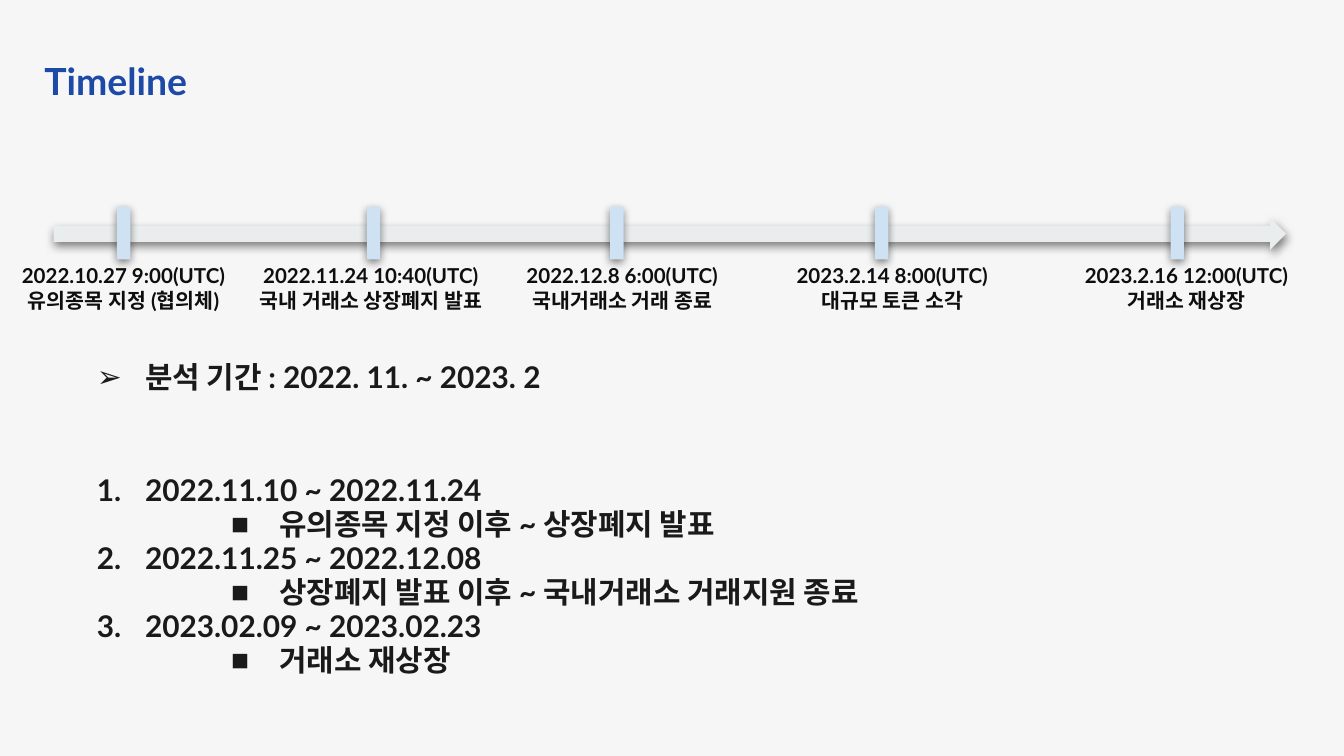
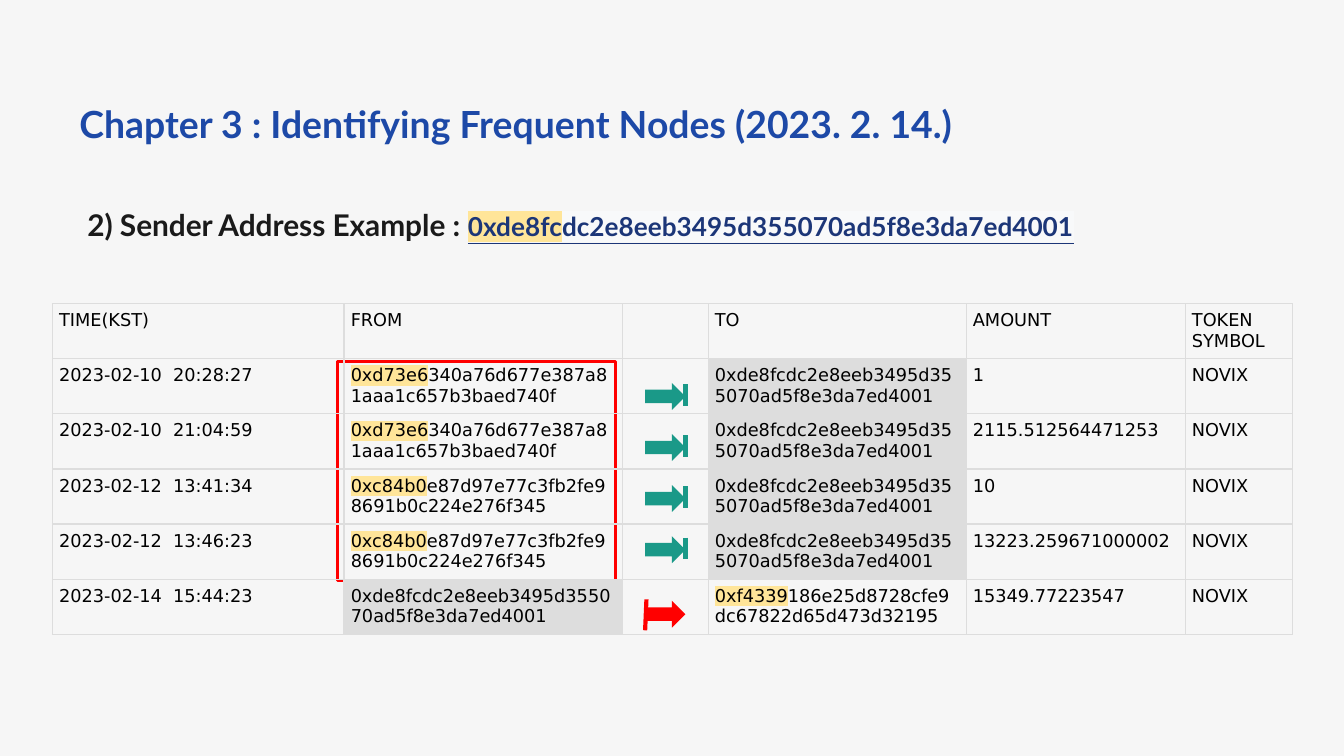
from dataclasses import dataclass

from lxml.etree import SubElement
from pptx import Presentation
from pptx.dml.color import RGBColor
from pptx.enum.shapes import MSO_CONNECTOR as Connector, MSO_SHAPE as Shape
from pptx.enum.text import MSO_ANCHOR as Anchor, MSO_AUTO_SIZE as AutoSize, PP_ALIGN as Align
from pptx.oxml.ns import qn
from pptx.util import Inches, Pt


@dataclass(frozen=True)
class Theme:
    background: str = "F6F6F6"
    title: str = "1D49A7"
    body: str = "1A1A1A"
    label: str = "0E0E0E"
    link: str = "1C3678"
    link_back: str = "F8F9FA"
    highlight: str = "FFE599"
    axis: str = "E9EDEE"
    marker: str = "CFE2F3"
    grid: str = "DDDDDD"
    cell: str = "000000"
    incoming: str = "1A9988"
    outgoing: str = "FF0000"
    font: str = "Lato"
    table_font: str = "DejaVu Sans"
    title_size: float = 20
    body_size: float = 16
    link_size: float = 14
    label_size: float = 11
    cell_size: float = 9.5


THEME = Theme()
MARGIN = 0.1

# label left, label width, marker left, date, event
MILESTONES = [
    (0.03, 1.78, 0.87, "2022.10.27 9:00(UTC)", "유의종목 지정 (협의체)"),
    (1.82, 1.88, 2.73, "2022.11.24 10:40(UTC)", "국내 거래소 상장폐지 발표"),
    (3.74, 1.78, 4.54, "2022.12.8 6:00(UTC)", "국내거래소 거래 종료"),
    (5.79, 1.70, 6.51, "2023.2.14 8:00(UTC)", "대규모 토큰 소각"),
    (7.86, 1.94, 8.71, "2023.2.16 12:00(UTC)", "거래소 재상장"),
]
PERIODS = [
    ("2022.11.10 ~ 2022.11.24", "유의종목 지정 이후 ~ 상장폐지 발표"),
    ("2022.11.25 ~ 2022.12.08", "상장폐지 발표 이후 ~ 국내거래소 거래지원 종료"),
    ("2023.02.09 ~ 2023.02.23", "거래소 재상장"),
]

WATCHED = "0xde8fcdc2e8eeb3495d355070ad5f8e3da7ed4001"
FIRST_SENDER = "0xd73e6340a76d677e387a81aaa1c657b3baed740f"
SECOND_SENDER = "0xc84b0e87d97e77c3fb2fe98691b0c224e276f345"
RECEIVER = "0xf4339186e25d8728cfe9dc67822d65d473d32195"
PREFIX = 7
TOKEN = "NOVIX"
HEADINGS = ["TIME(KST)", "FROM", "", "TO", "AMOUNT", "TOKEN SYMBOL"]
TRANSFERS = [
    ("2023-02-10  20:28:27", FIRST_SENDER, WATCHED, "1"),
    ("2023-02-10  21:04:59", FIRST_SENDER, WATCHED, "2115.512564471253"),
    ("2023-02-12  13:41:34", SECOND_SENDER, WATCHED, "10"),
    ("2023-02-12  13:46:23", SECOND_SENDER, WATCHED, "13223.259671000002"),
    ("2023-02-14  15:44:23", WATCHED, RECEIVER, "15349.77223547"),
]
COLUMN_WIDTHS = [2.17, 2.07, 0.64, 1.92, 1.63, 0.8]
ROW_HEIGHT = 0.41


def color(value):
    return RGBColor.from_string(value)


def add_color(parent, tag, value):
    element = SubElement(parent, qn(tag))
    return SubElement(element, qn("a:srgbClr"), val=value)


def style_font(font, size, value, name=THEME.font, bold=True):
    font.name, font.size, font.bold = name, Pt(size), bold
    font.color.rgb = color(value)


def add_highlight(run, value):
    properties = run._r.get_or_add_rPr()
    add_color(properties, "a:highlight", value)
    properties.insert(0, properties[-1])


def add_bullet(paragraph, left, hanging, tag, **attributes):
    properties = paragraph._p.get_or_add_pPr()
    properties.set("marL", str(Inches(left)))
    properties.set("indent", str(-Inches(hanging)))
    add_color(properties, "a:buClr", THEME.body)
    SubElement(properties, qn(tag), **attributes)


def add_borders(cell):
    properties = cell._tc.get_or_add_tcPr()
    for side in "LRTB":
        line = SubElement(properties, qn(f"a:ln{side}"), w=str(Pt(0.75)))
        add_color(line, "a:solidFill", THEME.grid)


class Deck:
    """Holds the presentation, its theme and the slide being built."""

    def __init__(self, theme):
        self.theme = theme
        self.presentation = Presentation()
        self.presentation.slide_width = Inches(10)
        self.presentation.slide_height = Inches(10) * 9 // 16
        self.slide = None

    def add_slide(self):
        layout = self.presentation.slide_layouts[1]
        self.slide = self.presentation.slides.add_slide(layout)
        fill = self.slide.background.fill
        fill.solid()
        fill.fore_color.rgb = color(self.theme.background)

    def place(self, shape, left, top, width, height, anchor=Anchor.TOP):
        """Position a text shape and give it the common frame settings."""
        shape.left, shape.top = Inches(left), Inches(top)
        shape.width, shape.height = Inches(width), Inches(height)
        frame = shape.text_frame
        frame.word_wrap, frame.auto_size = True, AutoSize.NONE
        frame.vertical_anchor = anchor
        frame.margin_left = frame.margin_right = Inches(MARGIN)
        frame.margin_top = frame.margin_bottom = Inches(MARGIN)
        return frame

    def title(self, text, left, top, width):
        frame = self.place(self.slide.shapes.title, left, top, width, 1.04, Anchor.MIDDLE)
        frame.text = text
        paragraph = frame.paragraphs[0]
        paragraph.alignment = Align.LEFT
        style_font(paragraph.font, self.theme.title_size, self.theme.title)

    def body(self, left, top, width, height):
        return self.place(self.slide.placeholders[1], left, top, width, height)

    def list_item(self, paragraph, text, bullet, level=0, space_before=0):
        paragraph.text, paragraph.level = text, level
        paragraph.line_spacing, paragraph.space_before = 0.95, Pt(space_before)
        left = 0.5 + level / 2
        if bullet == "1.":
            add_bullet(paragraph, left, 0.36, "a:buAutoNum", type="arabicPeriod")
        else:
            add_bullet(paragraph, left, 0.36, "a:buChar", char=bullet)
        style_font(paragraph.font, self.theme.body_size, self.theme.body)

    def label(self, lines, left, top, width, height):
        box = self.slide.shapes.add_textbox(0, 0, 0, 0)
        frame = self.place(box, left, top, width, height)
        frame.text = "\n".join(lines)
        for paragraph in frame.paragraphs:
            paragraph.alignment = Align.CENTER
            style_font(paragraph.font, self.theme.label_size, self.theme.label)

    def shape(self, kind, left, top, width, height, fill=None, line=None, shadow=False):
        shape = self.slide.shapes.add_shape(
            kind, Inches(left), Inches(top), Inches(width), Inches(height))
        shape.shadow.inherit = False
        if fill:
            shape.fill.solid()
            shape.fill.fore_color.rgb = color(fill)
        else:
            shape.fill.background()
        if line:
            shape.line.color.rgb = color(line)
            shape.line.width = Pt(1.5)
        else:
            shape.line.fill.background()
        if shadow:
            effects = shape._element.spPr.find(qn("a:effectLst"))
            outer = SubElement(effects, qn("a:outerShdw"), blurRad=str(Pt(4.5)),
                               dist=str(Pt(1.5)), dir="5400000", rotWithShape="0")
            black = SubElement(outer, qn("a:srgbClr"), val="000000")
            SubElement(black, qn("a:alpha"), val="50000")

    def line(self, start_x, start_y, end_x, end_y, value):
        connector = self.slide.shapes.add_connector(
            Connector.STRAIGHT, Inches(start_x), Inches(start_y), Inches(end_x), Inches(end_y))
        connector.line.color.rgb = color(value)
        connector.line.width = Pt(2.25)
        SubElement(connector._element.spPr, qn("a:effectLst"))

    def cell(self, cell, text):
        """Fill a cell: the watched address is shaded, others get a marked prefix."""
        cell.margin_left = cell.margin_right = Inches(0.05)
        cell.margin_top = cell.margin_bottom = Inches(0.05)
        add_borders(cell)
        if text == WATCHED:
            cell.fill.solid()
            cell.fill.fore_color.rgb = color(self.theme.grid)
        else:
            cell.fill.background()
        paragraph = cell.text_frame.paragraphs[0]
        style_font(paragraph.font, self.theme.cell_size, self.theme.cell,
                   self.theme.table_font, bold=False)
        if text.startswith("0x") and text != WATCHED:
            prefix, rest = paragraph.add_run(), paragraph.add_run()
            prefix.text, rest.text = text[:PREFIX], text[PREFIX:]
            add_highlight(prefix, self.theme.highlight)
        elif text:
            paragraph.add_run().text = text

    def table(self, rows, left, top):
        frame = self.slide.shapes.add_table(
            len(rows), len(COLUMN_WIDTHS), Inches(left), Inches(top),
            Inches(sum(COLUMN_WIDTHS)), Inches(ROW_HEIGHT * len(rows)))
        table = frame.table
        table.first_row = table.horz_banding = False
        for column, width in zip(table.columns, COLUMN_WIDTHS):
            column.width = Inches(width)
        for row, texts in zip(table.rows, rows):
            row.height = Inches(ROW_HEIGHT)
            for cell, text in zip(row.cells, texts):
                self.cell(cell, text)


def build_timeline(deck):
    theme = deck.theme
    deck.add_slide()
    deck.title("Timeline", 0.23, 0.08, 4.37)
    deck.shape(Shape.RIGHT_ARROW, 0.4, 1.62, 9.17, 0.24, theme.axis, shadow=True)
    for left, width, marker_left, date, event in MILESTONES:
        deck.label([date, event], left, 1.86, width, 0.61)
        deck.shape(Shape.RECTANGLE, marker_left, 1.54, 0.1, 0.39, theme.marker, shadow=True)

    frame = deck.body(0.48, 2.59, 8.41, 2.71)
    deck.list_item(frame.paragraphs[0], "분석 기간 : 2022. 11. ~ 2023. 2", "➢")
    for index, (period, event) in enumerate(PERIODS):
        gap = 0 if index else 42
        deck.list_item(frame.add_paragraph(), period, "1.", space_before=gap)
        deck.list_item(frame.add_paragraph(), event, "■", level=2)


def build_sender_heading(deck):
    theme = deck.theme
    paragraph = deck.body(0.55, 1.44, 8.41, 0.8).paragraphs[0]
    properties = paragraph._p.get_or_add_pPr()
    properties.set("marL", "0")
    properties.set("indent", "0")
    SubElement(properties, qn("a:buNone"))
    paragraph.space_before = Pt(0)
    style_font(paragraph.font, theme.body_size, theme.body)
    paragraph.add_run().text = "2) Sender Address Example : "
    parts = [(WATCHED[:PREFIX], theme.highlight), (WATCHED[PREFIX:], theme.link_back)]
    for text, back in parts:
        run = paragraph.add_run()
        run.text = text
        add_highlight(run, back)
        style_font(run.font, theme.link_size, theme.link)
        run.font.underline = True


def build_sender_example(deck):
    theme = deck.theme
    deck.add_slide()
    deck.title("Chapter 3 : Identifying Frequent Nodes (2023. 2. 14.)", 0.49, 0.4, 6.99)
    build_sender_heading(deck)
    deck.shape(Shape.RECTANGLE, 2.51, 2.69, 2.07, 1.63, line=theme.outgoing)
    rows = [(time, sender, "", receiver, amount, TOKEN)
            for time, sender, receiver, amount in TRANSFERS]
    deck.table([HEADINGS, *rows], 0.39, 2.26)

    arrow_left, arrow_width, arrow_height = 4.8, 0.3, 0.2
    arrow_right = arrow_left + arrow_width
    for index in range(4):
        top = 2.85 + 0.38 * index
        deck.shape(Shape.RIGHT_ARROW, arrow_left, top, arrow_width, arrow_height, theme.incoming)
        deck.line(arrow_right, top + 0.01, arrow_right, top + 0.17, theme.incoming)
    deck.shape(Shape.RIGHT_ARROW, arrow_left, 4.47, arrow_width, arrow_height, theme.outgoing)
    deck.line(4.81, 4.46, arrow_left, 4.69, theme.outgoing)


def main():
    deck = Deck(THEME)
    build_timeline(deck)
    build_sender_example(deck)
    deck.presentation.save("out.pptx")


if __name__ == "__main__":
    main()
